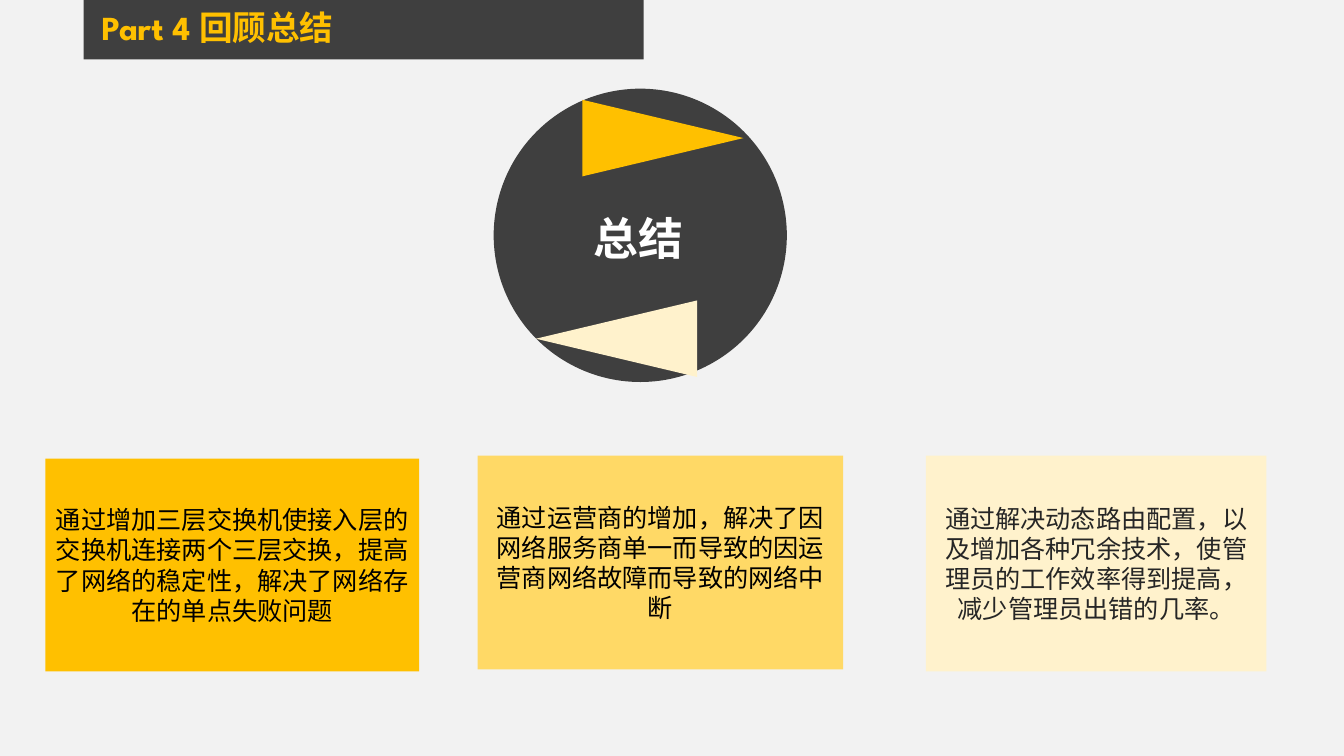
from pptx import Presentation
from pptx.dml.color import RGBColor
from pptx.enum.shapes import MSO_SHAPE as Preset
from pptx.enum.text import MSO_ANCHOR as Anchor, PP_ALIGN as Align
from pptx.util import Inches, Pt

PAPER = RGBColor(0xF2, 0xF2, 0xF2)
CHARCOAL = RGBColor(0x3F, 0x3F, 0x3F)
AMBER = RGBColor(0xFF, 0xC0, 0x00)
GOLD = RGBColor(0xFF, 0xD9, 0x66)
CREAM = RGBColor(0xFF, 0xF2, 0xCC)
WHITE = RGBColor(0xFF, 0xFF, 0xFF)
BLACK = RGBColor(0, 0, 0)
INK = RGBColor(0x26, 0x26, 0x26)

TITLE = "Part 4 回顾总结"
HUB = "总结"
# Position and size, fill, text colour, text
CARDS = [
    ((0.45, 4.55, 3.71, 2.11), AMBER, BLACK,
     "通过增加三层交换机使接入层的交换机连接两个三层交换，提高了网络的稳定性，解决了网络存在的单点失败问题"),
    ((4.74, 4.52, 3.63, 2.12), GOLD, BLACK,
     "通过运营商的增加，解决了因网络服务商单一而导致的因运营商网络故障而导致的网络中断"),
    ((9.19, 4.52, 3.38, 2.14), CREAM, INK,
     "通过解决动态路由配置，以及增加各种冗余技术，使管理员的工作效率得到提高，减少管理员出错的几率。"),
]
# Position and size before rotation, rotation, fill
ARROWS = [
    ((6.2, 0.57, 0.76, 1.6), 90, AMBER),
    ((5.74, 2.56, 0.76, 1.6), 270, CREAM),
]


def add_filled(page, preset, frame, color):
    shape = page.shapes.add_shape(preset, *map(Inches, frame))
    shape.shadow.inherit = False
    shape.fill.solid()
    shape.fill.fore_color.rgb = color
    shape.line.fill.background()
    return shape


def write(shape, text, size, color, font="Arial", bold=False, align=Align.LEFT, wrap=True):
    shape.text_frame.word_wrap = wrap
    para = shape.text_frame.paragraphs[0]
    para.text = text
    para.alignment = align
    para.font.size = Pt(size)
    para.font.name = font
    para.font.bold = bold
    para.font.color.rgb = color
    return para


def main():
    deck = Presentation()
    deck.slide_width, deck.slide_height = Inches(13.34), Inches(7.5)
    page = deck.slides.add_slide(deck.slide_layouts[6])
    page.background.fill.solid()
    page.background.fill.fore_color.rgb = PAPER

    add_filled(page, Preset.RECTANGLE, (0.83, 0, 5.56, 0.59), CHARCOAL)
    title = page.shapes.add_textbox(*map(Inches, (0.91, 0.06, 3.74, 0.51)))
    para = write(title, TITLE, 24, AMBER, "League Spartan", bold=True)
    para.line_spacing = 0.9

    add_filled(page, Preset.OVAL, (4.9, 0.88, 2.91, 2.91), CHARCOAL)
    for frame, rotation, color in ARROWS:
        arrow = add_filled(page, Preset.ISOSCELES_TRIANGLE, frame, color)
        arrow.rotation = rotation
    hub = page.shapes.add_textbox(*map(Inches, (5.79, 2.04, 1.09, 0.64)))
    write(hub, HUB, 32, WHITE, bold=True, wrap=False)

    for frame, fill, ink, text in CARDS:
        card = add_filled(page, Preset.RECTANGLE, frame, fill)
        card.text_frame.vertical_anchor = Anchor.MIDDLE
        write(card, text, 18, ink, align=Align.CENTER)

    deck.save("out.pptx")


if __name__ == "__main__":
    main()
